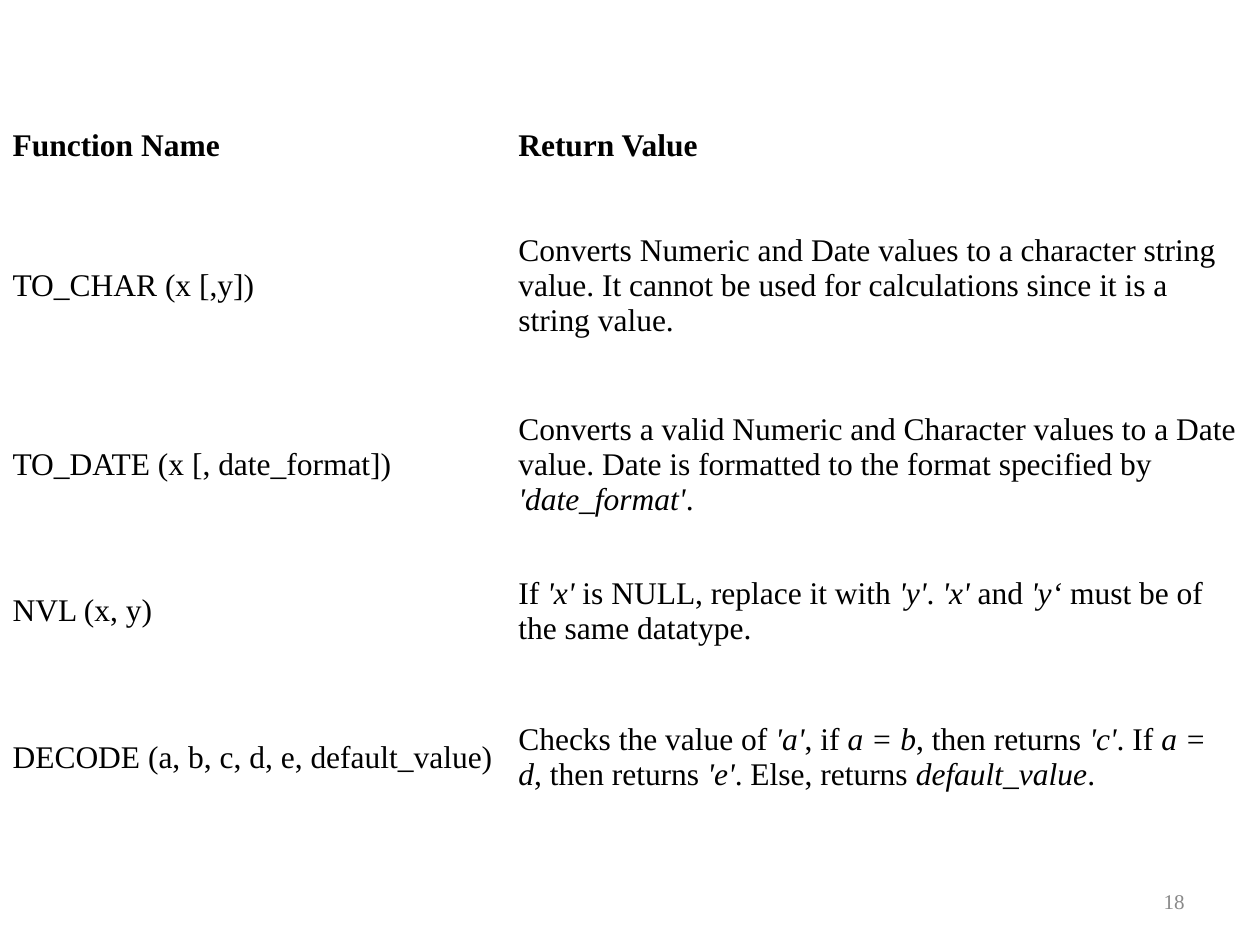
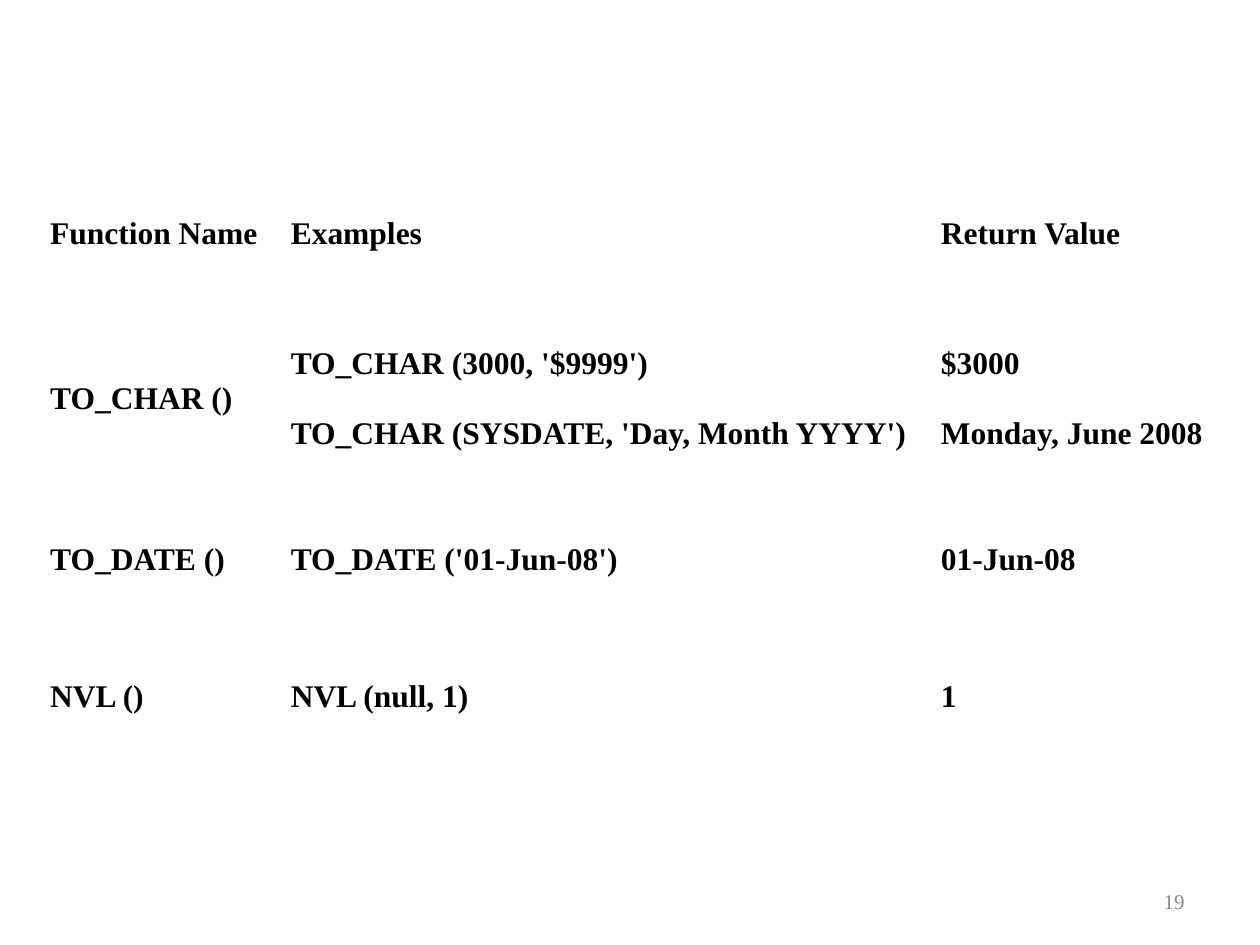
from dataclasses import dataclass

from pptx import Presentation
from pptx.dml.color import RGBColor
from pptx.enum.text import MSO_ANCHOR, PP_ALIGN
from pptx.util import Pt

MIDDLE = MSO_ANCHOR.MIDDLE
RIGHT = PP_ALIGN.RIGHT
BLANK = 6
FONT = "Times New Roman"
BLACK = "000000"
GREY = "898989"


@dataclass
class Grid:
    left: float
    top: float
    widths: list[float]
    heights: list[float]
    rows: list[list[str]]
    bold: int


@dataclass
class Page:
    number: int
    grid: Grid


PAGES = [
    Page(18, Grid(
        0, 54, [289, 425], [58.5, 102, 102, 65.5, 102],
        [
            ["Function Name", "Return Value"],
            ["TO_CHAR (x [,y])",
             "Converts Numeric and Date values to a character string value. "
             "It cannot be used for calculations since it is a string value."],
            ["TO_DATE (x [, date_format])",
             "Converts a valid Numeric and Character values to a Date value. "
             "Date is formatted to the format specified by *'date_format'*."],
            ["NVL (x, y)",
             "If *'x'* is NULL, replace it with *'y'*. *'x'* and *'y‘ *"
             "must be of the same datatype."],
            ["DECODE (a, b, c, d, e, default_value)",
             "Checks the value of *'a'*, if *a = b*, then returns *'c'*. "
             "If *a = d*, then returns *'e'*. Else, returns *default_value*."],
        ], bold=1)),
    Page(19, Grid(
        21.5, 91.5, [137.5, 371.5, 165], [84, 105, 78.5, 78.5],
        [
            ["Function Name", "Examples", "Return Value"],
            ["TO_CHAR ()",
             "TO_CHAR (3000, '$9999')\nTO_CHAR (SYSDATE, 'Day, Month YYYY')",
             "$3000\nMonday, June 2008"],
            ["TO_DATE ()", "TO_DATE ('01-Jun-08')", "01-Jun-08"],
            ["NVL ()", "NVL (null, 1)", "1"],
        ], bold=4)),
]


def style(font, size: float, color: str, bold: bool = False) -> None:
    font.name = FONT
    font.size = Pt(size)
    font.bold = bold
    font.color.rgb = RGBColor.from_string(color)


def fill_cell(cell, text: str, bold: bool) -> None:
    cell.fill.background()
    cell.vertical_anchor = MIDDLE
    frame = cell.text_frame
    for i, line in enumerate(text.split("\n")):
        para = frame.add_paragraph() if i else frame.paragraphs[0]
        para.space_before = Pt(20 if i else 0)
        for j, part in enumerate(line.split("*")):
            run = para.add_run()
            run.text = part
            style(run.font, 18, BLACK, bold)
            run.font.italic = j % 2 == 1


def draw_grid(slide, grid: Grid) -> None:
    table = slide.shapes.add_table(
        len(grid.heights), len(grid.widths), Pt(grid.left), Pt(grid.top),
        Pt(sum(grid.widths)), Pt(sum(grid.heights))).table
    table.first_row = table.horz_banding = False
    for col, width in zip(table.columns, grid.widths):
        col.width = Pt(width)
    for i, (row, height) in enumerate(zip(table.rows, grid.heights)):
        row.height = Pt(height)
        for cell, text in zip(row.cells, grid.rows[i]):
            fill_cell(cell, text, i < grid.bold)


def draw_number(slide, number: int) -> None:
    box = slide.shapes.add_textbox(Pt(516), Pt(500.5), Pt(168), Pt(28.75))
    frame = box.text_frame
    frame.word_wrap = True
    frame.vertical_anchor = MIDDLE
    frame.text = str(number)
    para = frame.paragraphs[0]
    para.alignment = RIGHT
    style(para.runs[0].font, 12, GREY)


def main() -> None:
    deck = Presentation()
    deck.slide_width = Pt(720)
    deck.slide_height = Pt(540)
    for page in PAGES:
        slide = deck.slides.add_slide(deck.slide_layouts[BLANK])
        draw_grid(slide, page.grid)
        draw_number(slide, page.number)
    deck.save("out.pptx")


if __name__ == "__main__":
    main()
